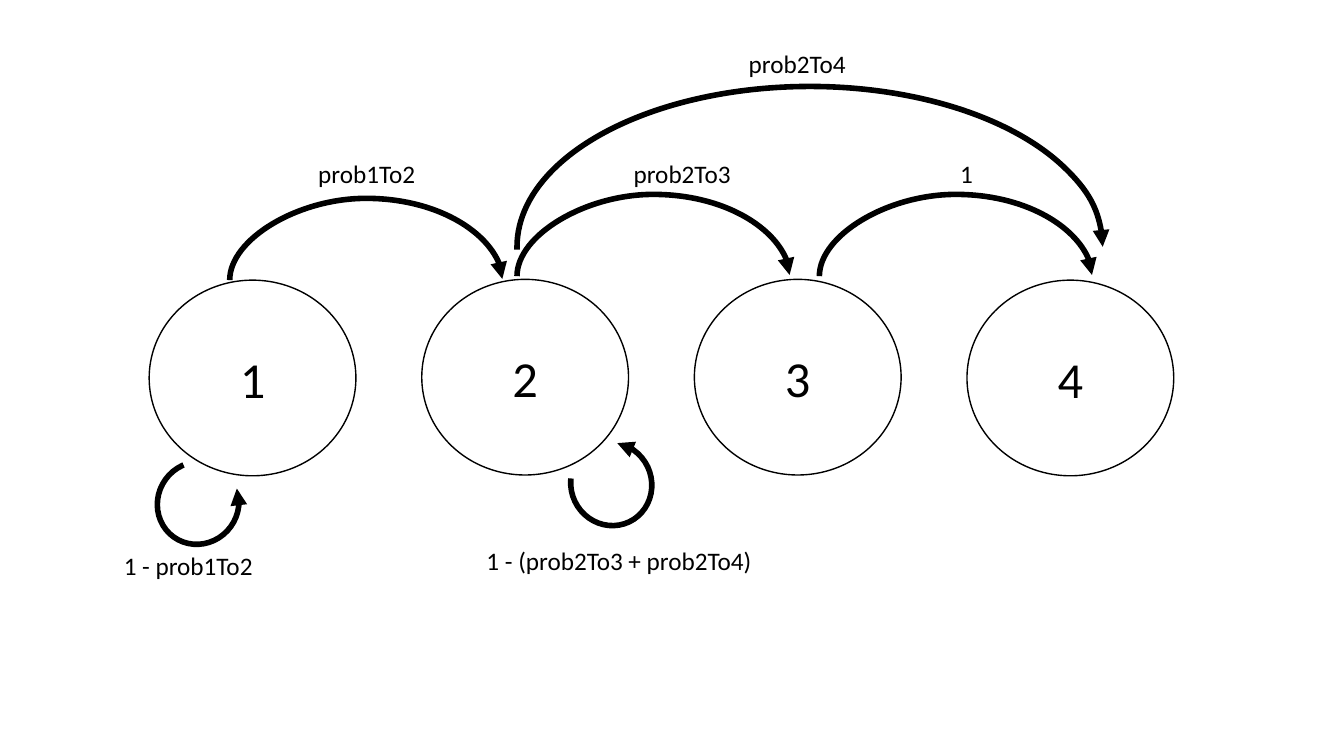
import pptx
import pptx.util
import pptx.dml.color
import pptx.enum.shapes
import pptx.enum.text
import pptx.oxml
import pptx.oxml.ns

Cm = pptx.util.Cm
Pt = pptx.util.Pt
Shapes = pptx.enum.shapes.MSO_SHAPE
qn = pptx.oxml.ns.qn
BLACK = pptx.dml.color.RGBColor(0, 0, 0)
WHITE = pptx.dml.color.RGBColor(255, 255, 255)
FONT = "Calibri"
STATE_PITCH = 6.87
LABEL_HEIGHT = 1.02


def add_span(para, text, size):
    span = para.add_run()
    span.text = text
    span.font.name = FONT
    span.font.size = Pt(size)
    span.font.color.rgb = BLACK


def style_arrow(shape, end):
    shape.line.color.rgb = BLACK
    shape.line.width = Pt(4)
    outline = shape.line._get_or_add_ln()
    outline.append(outline.makeelement(qn(f"a:{end}"), {"type": "triangle"}))


def add_label(page, text, left, top, width=3.58):
    label = page.shapes.add_textbox(Cm(left), Cm(top), Cm(width), Cm(LABEL_HEIGHT))
    label.text_frame.word_wrap = True
    label.text_frame.auto_size = pptx.enum.text.MSO_AUTO_SIZE.SHAPE_TO_FIT_TEXT
    add_span(label.text_frame.paragraphs[0], text, 18)


def add_state(page, name, box):
    state = page.shapes.add_shape(Shapes.OVAL, *map(Cm, box))
    state.shadow.inherit = False
    state.fill.solid()
    state.fill.fore_color.rgb = WHITE
    state.line.color.rgb = BLACK
    state.line.width = Pt(1)
    state.text_frame.vertical_anchor = pptx.enum.text.MSO_ANCHOR.MIDDLE
    para = state.text_frame.paragraphs[0]
    para.alignment = pptx.enum.text.PP_ALIGN.CENTER
    add_span(para, name, 36)


def add_hop(page, text, box, label_left, label_top):
    left, top, span, rise = box
    drop = 0.03
    middle, base = left + span / 2, top + rise - drop / 2
    hop = page.shapes.add_connector(
        pptx.enum.shapes.MSO_CONNECTOR.CURVE,
        Cm(middle - drop / 2), Cm(base - span / 2),
        Cm(middle + drop / 2), Cm(base + span / 2))
    properties = hop._element.spPr
    frame = properties.find(qn("a:xfrm"))
    for name, value in (("rot", "5400000"), ("flipH", "1"), ("flipV", "1")):
        frame.set(name, value)
    guides = properties.find(qn("a:prstGeom")).find(qn("a:avLst"))
    bend = round(rise / drop * 100000)
    guides.append(guides.makeelement(qn("a:gd"), {"name": "adj1", "fmla": f"val {bend}"}))
    style_arrow(hop, "tailEnd")
    properties.append(properties.makeelement(qn("a:effectLst"), {}))
    add_label(page, text, left + label_left, label_top)


def add_arc(page, box, angles, end, rotation=0):
    arc = page.shapes.add_shape(Shapes.ARC, *map(Cm, box))
    arc.shadow.inherit = False
    arc.fill.background()
    arc.adjustments[0], arc.adjustments[1] = angles
    arc.rotation = rotation
    style_arrow(arc, end)


def add_loop(page, text, box, rotation, label_left, label_top):
    left, top = box[:2]
    add_arc(page, box, (20.23, 181.91), "headEnd", rotation)
    add_label(page, text, left + label_left, top + label_top, 8.92)


def add_long_hop(page, text, box):
    left, top = box[:2]
    add_arc(page, box, (107.66, 0), "tailEnd")
    add_label(page, text, left + 5.59, top - 1.09)


def add_chain(page, left, top):
    for index, lower in enumerate((0.02, 0, 0, 0.02)):
        add_state(page, str(index + 1),
                  (left + index * STATE_PITCH, top + lower, 5.21, 4.93))
    hops = (("prob1To2", 2.03, 0.02, 1.98),
            ("prob2To3", 2.4, -0.08, 2.69),
            ("1", 3.15, -0.08, 3.3))
    for index, (text, start, base, label_left) in enumerate(hops):
        box = (left + index * STATE_PITCH + start, top + base - 2.06, STATE_PITCH, 2.06)
        add_hop(page, text, box, label_left, top - 3.18)
    add_long_hop(page, "prob2To4", (left + 9.27, top - 4.86, 14.76, 8.08))
    loops = (("1 - prob1To2", 0.18, 4.62, 305.8, -1.07, 2.08),
             ("1 - (prob2To3 + prob2To4)", 10.59, 4.14, 244.7, -2.34, 2.43))
    for text, across, down, rotation, label_left, label_top in loops:
        add_loop(page, text, (left + across, top + down, 2.11, 2.03),
                 rotation, label_left, label_top)


deck = pptx.Presentation()
deck.slide_width = Cm(33.87)
deck.slide_height = Cm(19.05)
page = deck.slides.add_slide(deck.slide_layouts[6])
add_chain(page, 3.76, 7.04)
deck.save("out.pptx")
